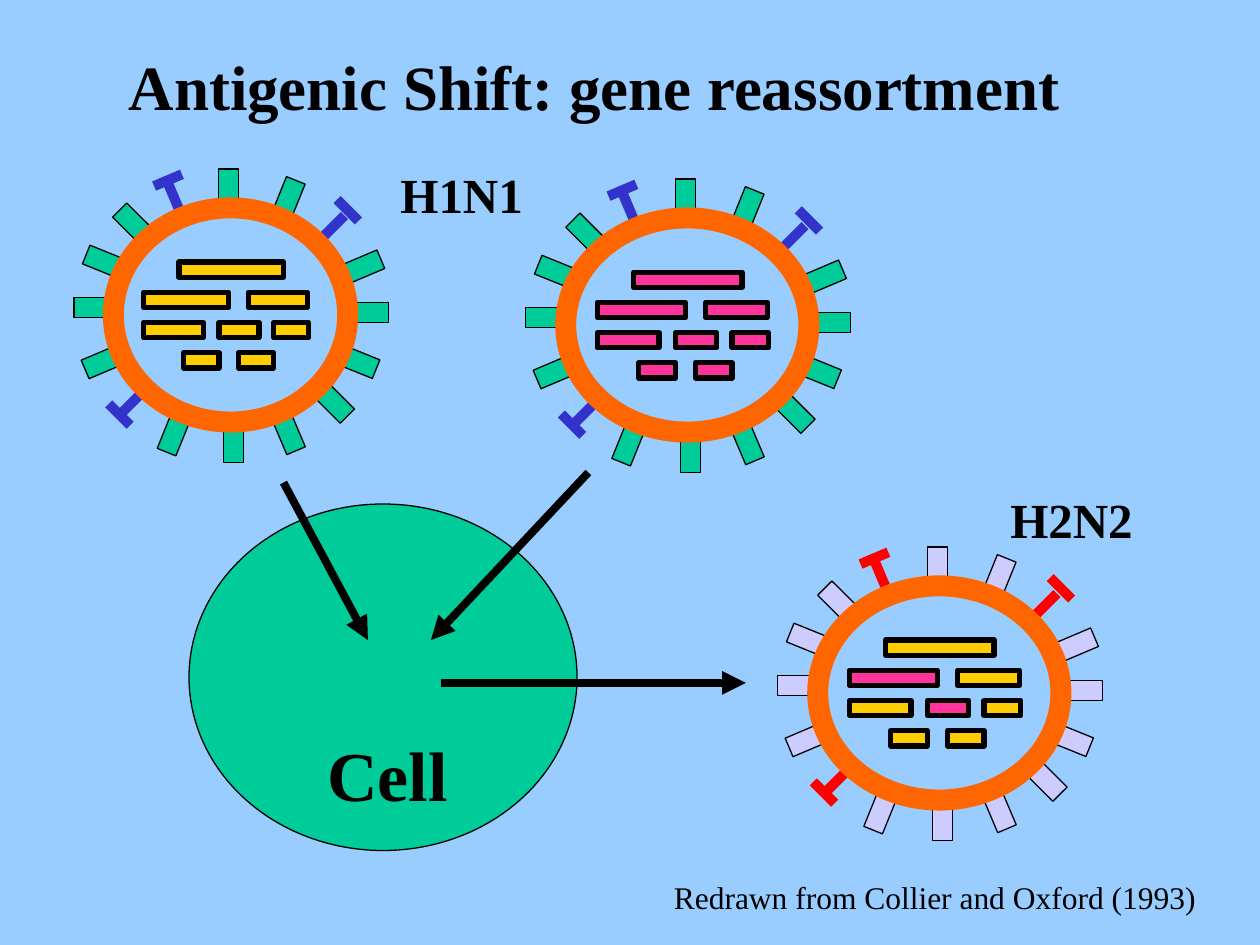
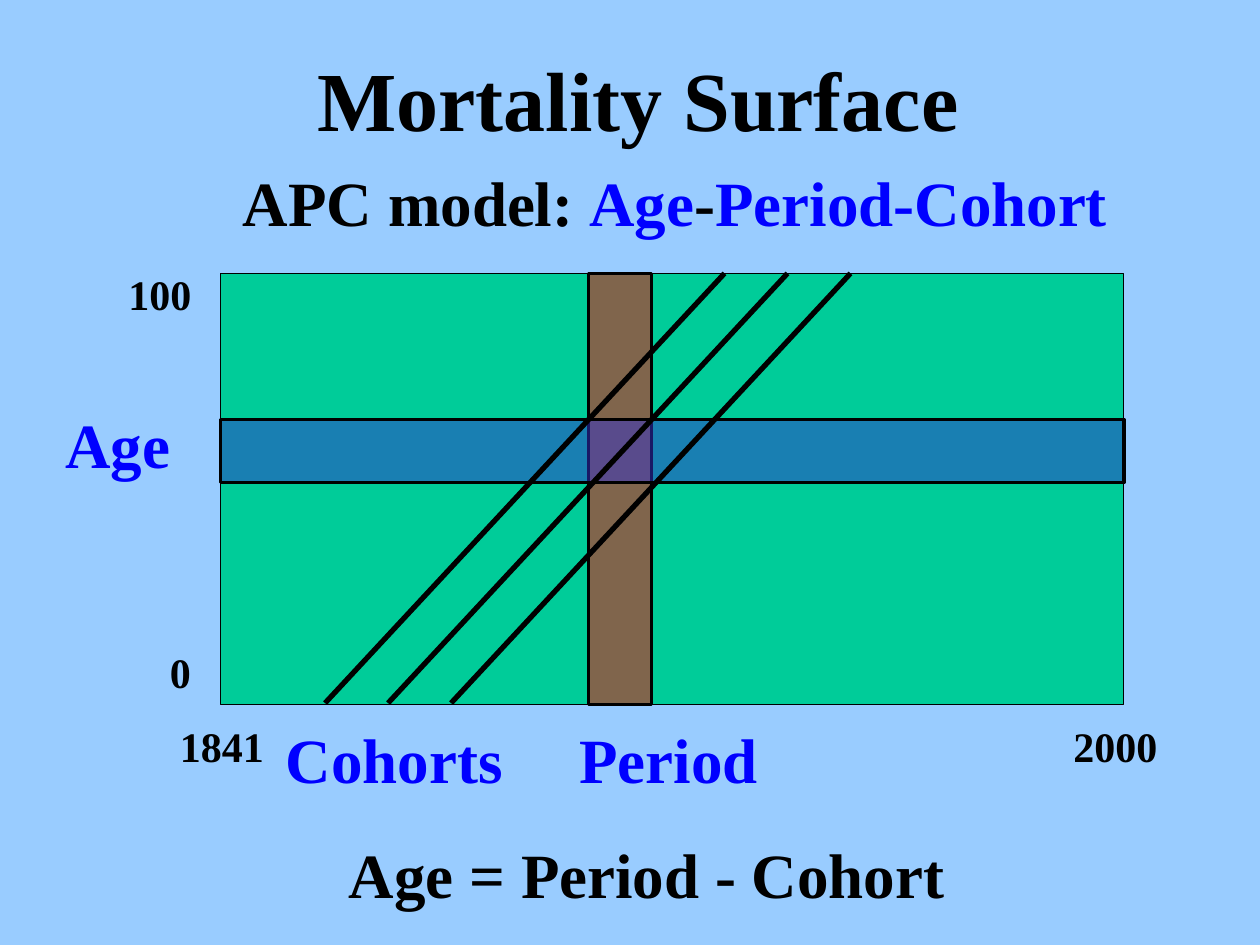
"""Builds two slides: antigenic shift by gene reassortment, and the mortality surface."""
import pptx
import pptx.dml.color
import pptx.enum.shapes
import pptx.enum.text
import pptx.oxml.ns
import pptx.oxml.xmlchemy
import pptx.util

Inches = pptx.util.Inches
Pt = pptx.util.Pt
RGBColor = pptx.dml.color.RGBColor
MSO_SHAPE = pptx.enum.shapes.MSO_SHAPE
OxmlElement = pptx.oxml.xmlchemy.OxmlElement

SKY = RGBColor(0x99, 0xCC, 0xFF)
BLACK = RGBColor(0, 0, 0)
BLUE = RGBColor(0, 0, 0xFF)
INDIGO = RGBColor(0x33, 0x33, 0xCC)
RED = RGBColor(0xFF, 0, 0)
GREEN = RGBColor(0, 0xCC, 0x99)
LAVENDER = RGBColor(0xCC, 0xCC, 0xFF)
ORANGE = RGBColor(0xFF, 0x66, 0)
YELLOW = RGBColor(0xFF, 0xCC, 0)
PINK = RGBColor(0xFF, 0x33, 0x99)
FONT = "Times New Roman"


def add_block(slide, kind, box, fill, line=None, weight=0.75, rotation=0, opacity=None):
    block = slide.shapes.add_shape(kind, *[Inches(length) for length in box])
    block.shadow.inherit = False
    block.rotation = rotation
    block.fill.solid()
    block.fill.fore_color.rgb = fill
    if line is None:
        block.line.fill.background()
    else:
        block.line.color.rgb = line
        block.line.width = Pt(weight)
    if opacity:
        color = block._element.spPr.find(".//" + pptx.oxml.ns.qn("a:srgbClr"))
        alpha = OxmlElement("a:alpha")
        alpha.set("val", str(opacity * 1000))
        color.append(alpha)


def add_text(slide, box, runs, size, bold=True, is_title=False):
    if is_title:
        label = slide.shapes.title
    else:
        label = slide.shapes.add_textbox(0, 0, 0, 0)
    for side, length in zip(("left", "top", "width", "height"), box):
        setattr(label, side, Inches(length))
    frame_format = {
        "word_wrap": True,
        "auto_size": pptx.enum.text.MSO_AUTO_SIZE.NONE,
        "vertical_anchor": pptx.enum.text.MSO_ANCHOR.BOTTOM,
    }
    for name, value in frame_format.items():
        setattr(label.text_frame, name, value)
    paragraph = label.text_frame.paragraphs[0]
    paragraph.alignment = pptx.enum.text.PP_ALIGN.LEFT
    for words, color in runs:
        run = paragraph.add_run()
        run.text = words
        for name, value in {"name": FONT, "size": Pt(size), "bold": bold}.items():
            setattr(run.font, name, value)
        run.font.color.rgb = color


deck = pptx.Presentation()
deck.slide_width = Inches(10)
deck.slide_height = Inches(7.5)
deck.slide_master.background.fill.solid()
deck.slide_master.background.fill.fore_color.rgb = SKY
title_only = deck.slide_layouts[5]
shift = deck.slides.add_slide(title_only)
surface = deck.slides.add_slide(title_only)

ENVELOPE_WIDTH, ENVELOPE_HEIGHT = 1.93, 1.7
spikes = [
    (0.95, -0.15, 0), (0.99, 1.86, 0), (-0.07, 0.43, 292), (0.17, 0.13, 315),
    (2.05, 0.47, 67), (0.5, 1.79, 22), (2.1, 0.83, 90), (-0.16, 0.79, 90),
    (-0.08, 1.22, 67), (1.44, -0.07, 22), (2.01, 1.22, 292), (1.44, 1.78, 337),
    (1.81, 1.54, 315),
]
enzyme_caps = [(1.93, 0.02, 45), (0.45, -0.22, 337), (0.05, 1.64, 225)]
enzyme_stems = [(1.8, 0.16, 45), (0.51, -0.06, 337), (0.18, 1.52, 225)]
gene_rows = [
    [(0.54, 0.86)],
    [(0.25, 0.7), (1.11, 0.49)],
    [(0.25, 0.49), (0.87, 0.33), (1.32, 0.29)],
    [(0.58, 0.29), (1.03, 0.29)],
]
genes = [(left, 0.43 + 0.24 * row, width)
         for row, segments in enumerate(gene_rows) for left, width in segments]
viruses = [
    (0.9, 1.65, 1.86, GREEN, INDIGO, [YELLOW] * 8),
    (4.49, 1.73, 1.93, GREEN, INDIGO, [PINK] * 8),
    (6.49, 4.65, 1.93, LAVENDER, RED,
     [YELLOW, PINK, YELLOW, YELLOW, PINK, YELLOW, YELLOW, YELLOW]),
]
for left, top, width, spike_color, enzyme_color, gene_colors in viruses:
    stretch = width / ENVELOPE_WIDTH
    surface_parts = [
        (enzyme_caps, 0.24, 0.08, enzyme_color, None),
        (enzyme_stems, 0.08, 0.28, enzyme_color, None),
        (spikes, 0.16, 0.32, spike_color, BLACK),
    ]
    for places, part_width, part_height, color, outline in surface_parts:
        for x, y, angle in places:
            box = (left + x * stretch - part_width / 2, top + y - part_height / 2,
                   part_width, part_height)
            add_block(shift, MSO_SHAPE.RECTANGLE, box, color, outline, rotation=angle)
    add_block(shift, MSO_SHAPE.OVAL, (left, top, width, ENVELOPE_HEIGHT), SKY, ORANGE, 12)
    for (x, y, gene_width), color in zip(genes, gene_colors):
        box = (left + x * stretch, top + y, gene_width * stretch, 0.12)
        add_block(shift, MSO_SHAPE.RECTANGLE, box, color, BLACK, 3)

add_block(shift, MSO_SHAPE.OVAL, (1.5, 4, 3.08, 2.75), GREEN, BLACK)
add_text(shift, (0.92, 0.33, 8.67, 0.7),
         [("Antigenic Shift: gene reassortment", BLACK)], 36, is_title=True)
add_text(shift, (2.5, 5.75, 1.33, 0.77), [("Cell", BLACK)], 40)
add_text(shift, (5.25, 6.92, 4.58, 0.4),
         [("Redrawn from Collier and Oxford (1993)", BLACK)], 18, bold=False)
for strain, left, top in [("H1N1", 3.08, 1.25), ("H2N2", 7.92, 3.83)]:
    add_text(shift, (left, top, 1.25, 0.57), [(strain, BLACK)], 28)

add_block(surface, MSO_SHAPE.RECTANGLE, (1.75, 2.17, 7.17, 3.42), GREEN, BLACK)
add_block(surface, MSO_SHAPE.RECTANGLE, (4.67, 2.17, 0.5, 3.42), RED, BLACK, 2, opacity=50)
add_block(surface, MSO_SHAPE.RECTANGLE, (1.75, 3.33, 7.17, 0.5), INDIGO, BLACK, 2, opacity=50)
add_text(surface, (2.42, 0.33, 5.75, 0.9), [("Mortality Surface", BLACK)], 48, is_title=True)
add_text(surface, (1.83, 1.25, 7.17, 0.7),
         [("APC model: ", BLACK), ("Age", BLUE), ("-", BLACK), ("Period-Cohort", BLUE)], 36)
add_text(surface, (2.67, 6.58, 5.33, 0.7), [("Age = Period - Cohort", BLACK)], 36)
for dimension, left, top, width in [("Age", 0.42, 3.17, 1.17), ("Period", 4.5, 5.67, 1.67),
                                    ("Cohorts", 2.17, 5.67, 2.17)]:
    add_text(surface, (left, top, width, 0.7), [(dimension, BLUE)], 36)
for tick, left, top, width in [("100", 0.92, 2.08, 0.75), ("0", 1.25, 5.08, 0.5),
                               ("1841", 1.33, 5.67, 1.08), ("2000", 8.42, 5.67, 1)]:
    add_text(surface, (left, top, width, 0.5), [(tick, BLACK)], 24)

infections = [(2.25, 3.83, 2.92, 5.08), (4.67, 3.75, 3.42, 5.08), (3.5, 5.42, 5.92, 5.42)]
cohorts = [(2.58 + 0.5 * i, 5.58, 5.75 + 0.5 * i, 2.17) for i in range(3)]
for slide, routes, weight, arrowhead in [(shift, infections, 4.5, True),
                                         (surface, cohorts, 3, False)]:
    for ends in routes:
        stroke = slide.shapes.add_connector(
            pptx.enum.shapes.MSO_CONNECTOR.STRAIGHT, *[Inches(length) for length in ends])
        stroke.line.color.rgb = BLACK
        stroke.line.width = Pt(weight)
        if arrowhead:
            tip = OxmlElement("a:tailEnd")
            tip.set("type", "triangle")
            stroke._element.spPr.get_or_add_ln().append(tip)
        stroke._element.spPr.append(OxmlElement("a:effectLst"))

deck.save("out.pptx")
